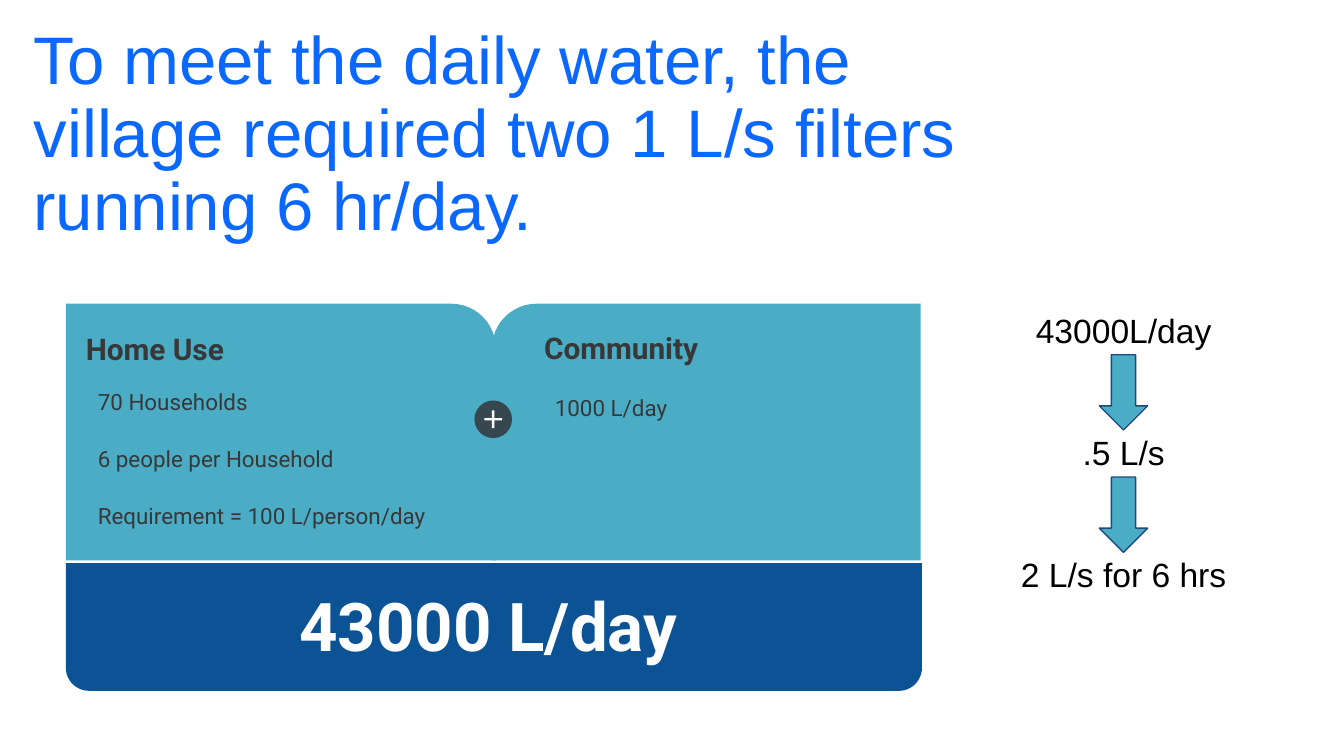
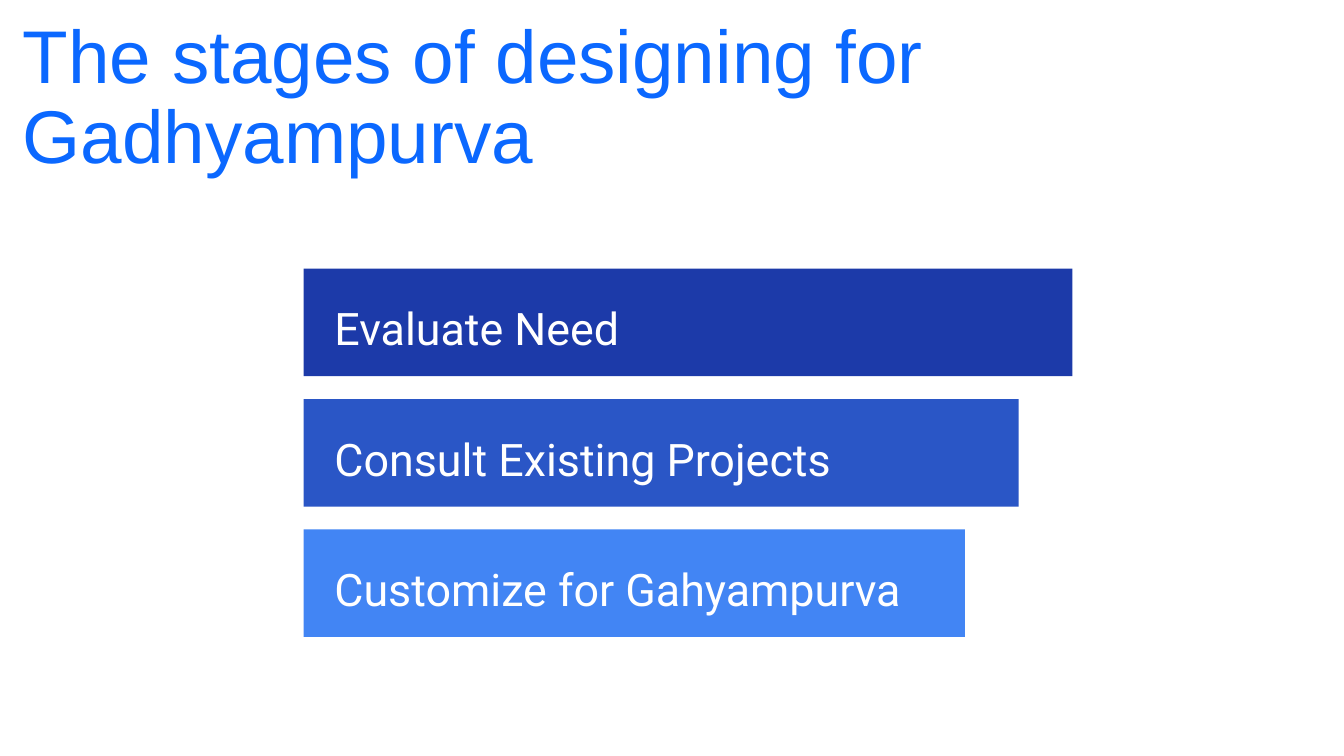
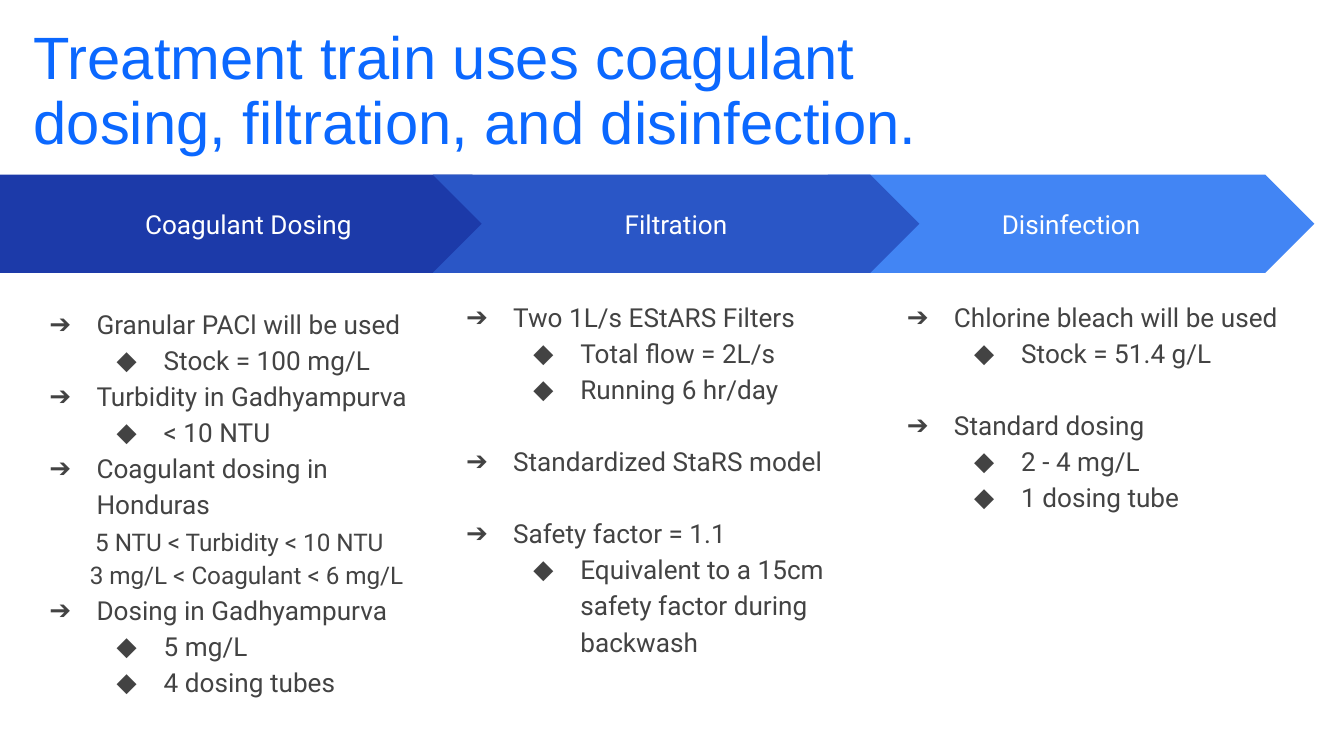
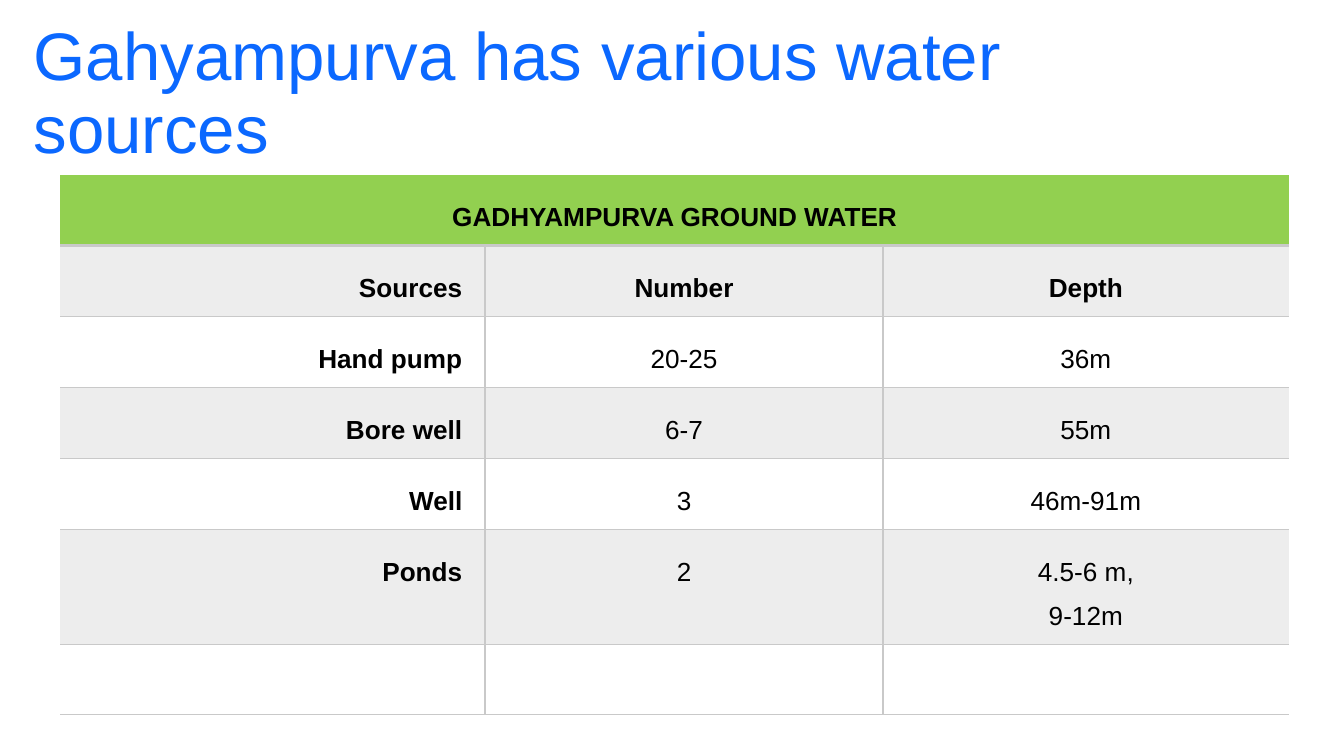
from lxml import etree
from pptx import Presentation
from pptx.dml.color import RGBColor
from pptx.enum.shapes import MSO_SHAPE
from pptx.enum.text import MSO_ANCHOR, MSO_AUTO_SIZE, PP_ALIGN
from pptx.oxml.ns import qn
from pptx.util import Inches, Pt

LEFT, MID, RIGHT = PP_ALIGN.LEFT, PP_ALIGN.CENTER, PP_ALIGN.RIGHT
TOP, CENTER, BOTTOM = MSO_ANCHOR.TOP, MSO_ANCHOR.MIDDLE, MSO_ANCHOR.BOTTOM
FIXED = MSO_AUTO_SIZE.NONE
RECT, OVAL, PLUS = MSO_SHAPE.RECTANGLE, MSO_SHAPE.OVAL, MSO_SHAPE.MATH_PLUS
ROUND1, ROUND2 = MSO_SHAPE.ROUND_1_RECTANGLE, MSO_SHAPE.ROUND_2_SAME_RECTANGLE
DOWN, PLATE, CHEVRON = MSO_SHAPE.DOWN_ARROW, MSO_SHAPE.PENTAGON, MSO_SHAPE.CHEVRON

WIDE = 10
HIGH = WIDE * 9 / 16
COLORS = {
    "title": "0B68FF", "teal": "4BACC6", "total": "0B5394", "badge": "37474F",
    "edge": "1F497D", "ink": "383838", "body": "434343", "black": "000000",
    "white": "FFFFFF", "deep": "1C3AA9", "blue": "2A56C6", "sky": "4285F4",
    "green": "92D050", "gray": "EDEDED", "rule": "C9C9C9",
}

# Text styles: font values and paragraph values
STYLES = {
    "title": ({"name": "Arial", "size": 36, "color": "title"},
              {"alignment": LEFT, "line_spacing": 0.9}),
    "head": ({"name": "Roboto", "size": 16, "color": "ink", "bold": True}, {}),
    "fact": ({"name": "Roboto", "size": 12, "color": "ink"}, {"space_after": Pt(16)}),
    "total": ({"name": "Roboto", "size": 36, "color": "white", "bold": True},
              {"alignment": MID}),
    "flow": ({"name": "Arial", "size": 18, "color": "black"}, {"alignment": MID}),
    "stage": ({"name": "Roboto", "size": 24, "color": "white"}, {"line_spacing": 1.15}),
    "step": ({"name": "Roboto", "size": 14, "color": "white"}, {"alignment": MID}),
    "body": ({"name": "Roboto", "size": 14, "color": "body"}, {"line_spacing": 1.15}),
    "cell": ({"name": "Arial", "size": 14, "color": "black"}, {"line_spacing": 1.5}),
}

# Title text, box and size of each slide
TITLES = {
    "need": ("To meet the daily water, the village required two 1 L/s filters "
             "running 6 hr/day.", (0.12, 0.29, 7.71, 1.66), 36),
    "stages": ("The stages of designing for Gadhyampurva", (0.04, 0.79, 8.01, 0.68), 40),
    "train": ("Treatment train uses coagulant dosing, filtration, and disinfection.",
              (0.12, 0.29, 7.71, 1.01), 32),
    "sources": ("Gahyampurva has various water sources", (0.12, 0.37, 7.98, 1.01), 36),
}

# Panel box, flipped, heading box and text, facts box, line spacing and lines
PANELS = [
    ((0.49, 2.26, 3.2, 1.91), False, (0.54, 2.36, 2.7, 0.76), "Home Use",
     (0.63, 2.79, 2.83, 1.24), 1,
     ["70 Households", "6 people per Household", "Requirement = 100 L/person/day"]),
    ((3.66, 2.26, 3.19, 1.91), True, (3.95, 2.35, 2.73, 0.77), "Community",
     (4.03, 2.8, 2.38, 0.94), 1.15, ["1000 L/day"]),
]
TOTAL = "43000 L/day"
FLOW = ["43000L/day", ".5 L/s", "2 L/s for 6 hrs"]

STAGES = [("Evaluate Need", "deep"), ("Consult Existing Projects", "blue"),
          ("Customize for Gahyampurva", "sky")]

# Each point is kind, text and the gap before it in points.
# Back to front, so that the middle arrow lies on top.
GAP = 19.3
STEPS = [
    ("Disinfection", CHEVRON, "sky", (6.16, 3.62), (6.5, 2.11, 3.27, 3.43), [
        ("main", "Chlorine bleach will be used", 0),
        ("sub", "Stock = 51.4 g/L", 0),
        ("main", "Standard dosing", GAP),
        ("sub", "2 - 4 mg/L", 0),
        ("sub", "1 dosing tube", 0)]),
    ("Coagulant Dosing", PLATE, "deep", (0, 3.88), (0.12, 2.16, 3.04, 3.38), [
        ("main", "Granular PACl will be used", 0),
        ("sub", "Stock = 100 mg/L", 0),
        ("main", "Turbidity in Gadhyampurva", 0),
        ("sub", "< 10 NTU", 0),
        ("main", "Coagulant dosing in Honduras", 0),
        ("range", "5 NTU < Turbidity < 10 NTU", 1.5),
        ("dose", "3 mg/L < Coagulant < 6 mg/L", 0),
        ("main", "Dosing in Gadhyampurva", 0),
        ("sub", "5 mg/L", 0),
        ("sub", "4 dosing tubes", 0)]),
    ("Filtration", CHEVRON, "blue", (3.22, 3.62), (3.22, 2.11, 3.03, 3.43), [
        ("main", "Two 1L/s EStARS Filters", 0),
        ("sub", "Total flow = 2L/s", 0),
        ("sub", "Running 6 hr/day", 0),
        ("main", "Standardized StaRS model", GAP),
        ("main", "Safety factor = 1.1", GAP),
        ("sub", "Equivalent to a 15cm safety factor during backwash", 0)]),
]
# Level, left margin, first-line indent, bullet and size of each kind
POINTS = {"main": (0, 0.5, -0.35, "➔", 14), "sub": (1, 1, -0.35, "◆", 14),
          "range": (0, 0.49, 0, None, 13), "dose": (0, 0.45, 0, None, 13)}

TABLE = [
    ["GADHYAMPURVA GROUND WATER", "", ""],
    ["Sources", "Number", "Depth"],
    ["Hand pump", "20-25", "36m"],
    ["Bore well", "6-7", "55m"],
    ["Well", "3", "46m-91m"],
    ["Ponds", "2", "4.5-6 m,\n9-12m"],
    ["", "", ""],
]
COLS = [3.16, 2.96, 3.02]


def rgb(name):
    return RGBColor.from_string(COLORS[name])


def place(box):
    return [Inches(v) for v in box]


def put(thing, values):
    for key, val in values.items():
        setattr(thing, key, val)


def write(frame, lines, style, **more):
    """Fill a text frame with one paragraph per line and return them."""
    look, form = STYLES[style]
    look = {**look, **more}
    for num, line in enumerate(lines):
        para = frame.add_paragraph() if num else frame.paragraphs[0]
        put(para, form)
        run = para.add_run()
        run.text = line
        put(run.font, {"name": look["name"], "size": Pt(look["size"]),
                       "bold": look.get("bold", False)})
        run.font.color.rgb = rgb(look["color"])
    return frame.paragraphs


def setup(frame, anchor=TOP, side=0.1, edge=0.1):
    put(frame, {"word_wrap": True, "auto_size": FIXED, "vertical_anchor": anchor,
                "margin_left": Inches(side), "margin_right": Inches(side),
                "margin_top": Inches(edge), "margin_bottom": Inches(edge)})
    return frame


def label(slide, box, lines, style, **frame):
    area = slide.shapes.add_textbox(*place(box)).text_frame
    return write(setup(area, **frame), lines, style)


def draw(slide, kind, box, fill, adjust=(), line=None):
    shape = slide.shapes.add_shape(kind, *place(box))
    shape.shadow.inherit = False
    shape.fill.solid()
    shape.fill.fore_color.rgb = rgb(fill)
    for num, val in enumerate(adjust):
        shape.adjustments[num] = val
    if line:
        shape.line.color.rgb = rgb(line)
        shape.line.width = Pt(0.75)
    else:
        shape.line.fill.background()
    return shape


def start(deck, key):
    """Add a title-only slide and set its title."""
    text, box, size = TITLES[key]
    slide = deck.slides.add_slide(deck.slide_layouts[5])
    title = slide.shapes.title
    put(title, dict(zip(("left", "top", "width", "height"), place(box))))
    write(setup(title.text_frame, BOTTOM, 0.13, 0.13), [text], "title", size=size)
    return slide


def need(deck):
    slide = start(deck, "need")
    for box, flip, head, name, area, pitch, facts in PANELS:
        panel = draw(slide, ROUND1, box, "teal", [0.174])
        if flip:
            panel.element.spPr.find(qn("a:xfrm")).set("flipH", "1")
        label(slide, head, [name], "head")
        for para in label(slide, area, facts, "fact"):
            para.line_spacing = float(pitch)
    draw(slide, ROUND2, (0.49, 4.19, 6.37, 0.95), "total", [0.181, 0]).rotation = 180
    label(slide, (1.35, 4.25, 4.57, 0.67), [TOTAL], "total")
    draw(slide, OVAL, (3.53, 2.98, 0.28, 0.28), "badge")
    draw(slide, PLUS, (3.58, 3.03, 0.18, 0.18), "white", [0.1])
    flow = label(slide, (7.02, 2.26, 2.68, 2.89), FLOW, "flow", edge=0.05)
    for num, para in enumerate(flow[1:]):
        para.space_before = Pt(43.6)
        draw(slide, DOWN, (8.18, 2.64 + 0.91 * num, 0.36, 0.56), "teal",
             [0.5, 0.5], "edge")


def stages(deck):
    slide = start(deck, "stages")
    for num, (name, fill) in enumerate(STAGES):
        top, width = 2 + 0.97 * num, 5.72 - 0.4 * num
        draw(slide, RECT, (2.26, top, width, 0.8), fill)
        label(slide, (2.39, top + 0.1, width - 0.4, 0.62), [name], "stage",
              anchor=CENTER, edge=0.05)


def bullet(para, kind):
    """Set level, indents and bullet of a point."""
    level, left, first, mark, size = POINTS[kind]
    para.level = level
    para.runs[0].font.size = Pt(size)
    props = para._p.get_or_add_pPr()
    props.set("marL", str(Inches(left)))
    props.set("indent", str(Inches(first)))
    if mark:
        tint = etree.SubElement(props, qn("a:buClr"))
        etree.SubElement(tint, qn("a:srgbClr"), val=COLORS["body"])
        etree.SubElement(props, qn("a:buFont"), typeface="Roboto")
        etree.SubElement(props, qn("a:buChar"), char=mark)


def train(deck):
    slide = start(deck, "train")
    for name, kind, fill, (left, width), area, points in STEPS:
        arrow = draw(slide, kind, (left, 1.3, width, 0.73), fill, [0.5])
        write(setup(arrow.text_frame, CENTER), [name], "step")
        paras = label(slide, area, [text for _, text, _ in points], "body")
        for para, (sort, _, gap) in zip(paras, points):
            para.space_before = Pt(gap)
            bullet(para, sort)


def border(cell, side, width):
    line = etree.SubElement(cell._tc.get_or_add_tcPr(), qn("a:ln" + side),
                            w=str(Pt(width)))
    if width:
        fill = etree.SubElement(line, qn("a:solidFill"))
        etree.SubElement(fill, qn("a:srgbClr"), val=COLORS["rule"])
    else:
        etree.SubElement(line, qn("a:noFill"))


def sources(deck):
    slide = start(deck, "sources")
    rows = [0.85 if any("\n" in text for text in row) else 0.52 for row in TABLE]
    table = slide.shapes.add_table(len(rows), len(COLS), *place(
        (0.45, 1.3, sum(COLS), sum(rows)))).table
    put(table, {"first_row": False, "horz_banding": False})
    for col, width in zip(table.columns, COLS):
        col.width = Inches(width)
    for row, high in zip(table.rows, rows):
        row.height = Inches(high)
    table.cell(0, 0).merge(table.cell(0, 2))
    for r, row in enumerate(TABLE):
        for c, text in enumerate(row):
            cell = table.cell(r, c)
            put(cell, {"margin_left": Inches(0.17), "margin_right": Inches(0.17),
                       "margin_top": Inches(0.1), "margin_bottom": Inches(0.1)})
            for side, width in (("L", r and c and 1), ("R", r and c < 2 and 1),
                                ("T", r and (1.5 if r == 1 else 1)),
                                ("B", 1 if r else 1.5)):
                border(cell, side, width)
            cell.fill.solid()
            cell.fill.fore_color.rgb = rgb(
                "gray" if r % 2 else "white" if r else "green")
            if text:
                for para in write(cell.text_frame, text.split("\n"), "cell",
                                  bold=r < 2 or c == 0):
                    para.alignment = RIGHT if r and c == 0 else MID


def main():
    deck = Presentation()
    deck.slide_width, deck.slide_height = Inches(WIDE), Inches(HIGH)
    for build in (need, stages, train, sources):
        build(deck)
    deck.save("out.pptx")


if __name__ == "__main__":
    main()
